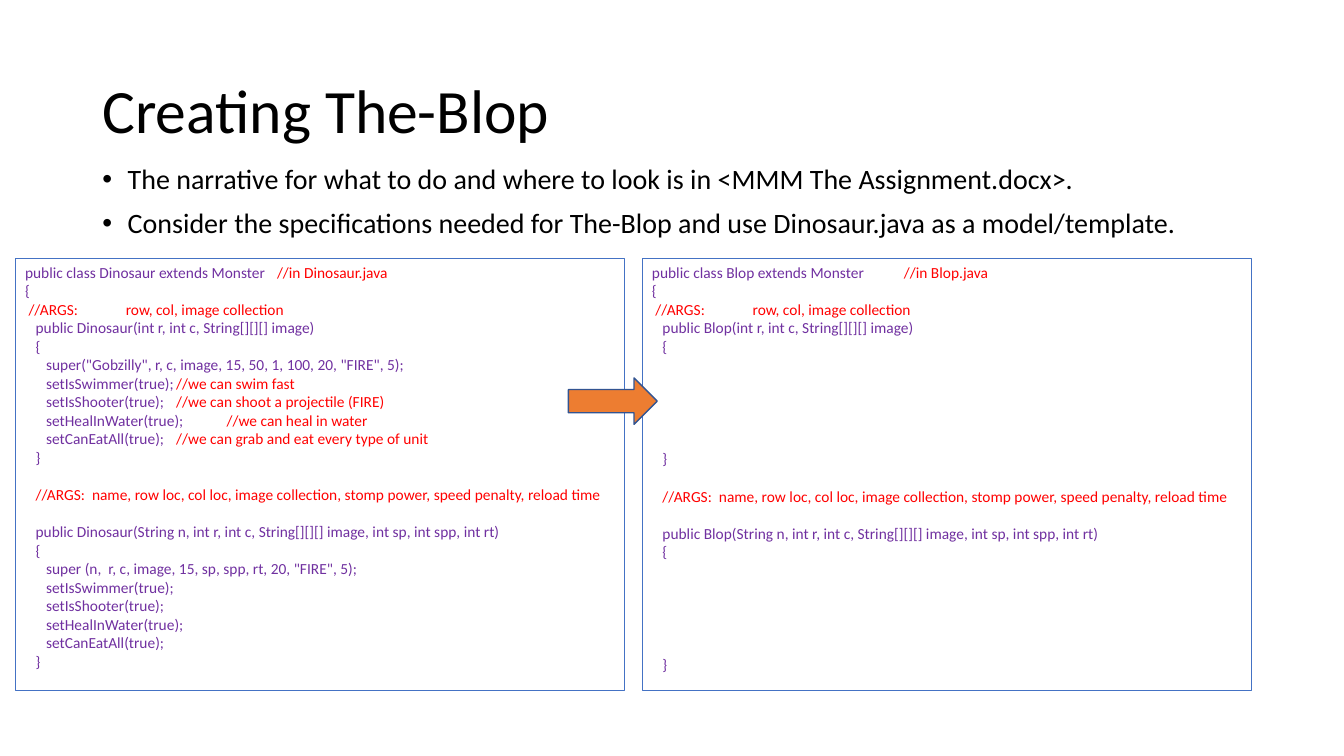
"""Build the slide that turns the Dinosaur class into a model for The-Blop."""
from lxml.etree import SubElement
from pptx import Presentation
from pptx.dml.color import RGBColor
from pptx.enum.shapes import MSO_SHAPE as Shape
from pptx.enum.text import MSO_ANCHOR as Anchor, MSO_AUTO_SIZE as AutoSize, PP_ALIGN as Align
from pptx.oxml.ns import qn
from pptx.util import Pt

TITLE = "Creating The-Blop"
BULLETS = [
    "The narrative for what to do and where to look is in <MMM The Assignment.docx>.",
    "Consider the specifications needed for The-Blop and use Dinosaur.java as a model/template.",
]
ABILITIES = [
    ("setIsSwimmer(true);", "//we can swim fast"),
    ("setIsShooter(true);", "//we can shoot a projectile (FIRE)"),
    ("setHealInWater(true);", "//we can heal in water"),
    ("setCanEatAll(true);", "//we can grab and eat every type of unit"),
]
SHORT_BODY = ['super("Gobzilly", r, c, image, 15, 50, 1, 100, 20, "FIRE", 5);']
SHORT_BODY += [f"{call}\t{comment}" for call, comment in ABILITIES]
LONG_BODY = ['super (n,  r, c, image, 15, sp, spp, rt, 20, "FIRE", 5);']
LONG_BODY += [call for call, comment in ABILITIES]
SHORT_ARGS = "//ARGS:\trow, col, image collection"
LONG_ARGS = ("//ARGS:  name, row loc, col loc, image collection, "
             "stomp power, speed penalty, reload time")
PANELS = [
    {"name": "Dinosaur", "left": 10.8, "args_tab": 82.5, "bodies": (SHORT_BODY, LONG_BODY)},
    {"name": "Blop", "left": 458.6, "args_tab": 80, "bodies": ([], [])},
]

BLACK = RGBColor(0x00, 0x00, 0x00)
PURPLE = RGBColor(0x70, 0x30, 0xA0)
RED = RGBColor(0xFF, 0x00, 0x00)
BLUE = RGBColor(0x44, 0x72, 0xC4)
NAVY = RGBColor(0x32, 0x54, 0x91)
ORANGE = RGBColor(0xED, 0x7D, 0x31)

FONT = "Calibri"
BODY_LINES = 5
LINE_HEIGHT = 13.43
INDENT = 7.5
COMMENT_TAB = 216
PANEL_TOP, PANEL_WIDTH, PANEL_HEIGHT = 184.3, 435.6, 308.9


def apply(target, values):
    """Set every attribute named in values."""
    for name, value in values.items():
        setattr(target, name, value)


def place(shape, left, top, width, height):
    """Move and size a shape in points."""
    apply(shape, {"left": Pt(left), "top": Pt(top), "width": Pt(width), "height": Pt(height)})


def add_run(paragraph, text, size, color):
    """Add one formatted run."""
    run = paragraph.add_run()
    run.text = text
    apply(run.font, {"name": FONT, "size": Pt(size)})
    run.font.color.rgb = color


def fill_placeholder(shape, lines, size, space_before, hanging):
    """Write lines into a template placeholder."""
    frame = shape.text_frame
    frame.auto_size = AutoSize.NONE
    for number, line in enumerate(lines):
        paragraph = frame.add_paragraph() if number else frame.paragraphs[0]
        apply(paragraph, {"alignment": Align.LEFT, "line_spacing": 0.9,
                          "space_before": Pt(space_before)})
        properties = paragraph._p.get_or_add_pPr()
        properties.set("marL", str(Pt(hanging)))
        properties.set("indent", str(-Pt(hanging)))
        add_run(paragraph, line, size, BLACK)


def class_lines(name, args_tab, bodies):
    """Return (blank lines before, indent level, tab stop, text) for each code line."""
    lines = [
        (0, 0, COMMENT_TAB, f"public class {name} extends Monster\t//in {name}.java"),
        (0, 0, COMMENT_TAB, "{"),
        (0, 1 / 3, args_tab, SHORT_ARGS),
    ]
    signatures = ["int r, int c, String[][][] image",
                  "String n, int r, int c, String[][][] image, int sp, int spp, int rt"]
    for number, (signature, body) in enumerate(zip(signatures, bodies)):
        if number:
            lines.append((1, 1, COMMENT_TAB, LONG_ARGS))
        lines.append((number, 1, COMMENT_TAB, f"public {name}({signature})"))
        lines.append((0, 1, COMMENT_TAB, "{"))
        lines += [(0, 2, COMMENT_TAB, text) for text in body]
        lines.append((BODY_LINES - len(body), 1, COMMENT_TAB, "}"))
    return lines


def add_shape(slide, kind, box, line_color, line_width):
    """Add an outlined shape without shadow or fill."""
    shape = slide.shapes.add_shape(kind, *map(Pt, box))
    shape.shadow.inherit = False
    shape.fill.background()
    shape.line.color.rgb = line_color
    shape.line.width = Pt(line_width)
    return shape


def add_code_panel(slide, name, left, args_tab, bodies):
    """Add a framed listing with purple code and red comments."""
    box = (left, PANEL_TOP, PANEL_WIDTH, PANEL_HEIGHT)
    frame = add_shape(slide, Shape.RECTANGLE, box, BLUE, 0.75).text_frame
    apply(frame, {"word_wrap": True, "vertical_anchor": Anchor.TOP})
    for number, (blanks, level, tab, text) in enumerate(class_lines(name, args_tab, bodies)):
        paragraph = frame.add_paragraph() if number else frame.paragraphs[0]
        apply(paragraph, {"alignment": Align.LEFT, "space_before": Pt(blanks * LINE_HEIGHT)})
        properties = paragraph._p.get_or_add_pPr()
        properties.set("marL", "0")
        properties.set("indent", str(Pt(level * INDENT)))
        tabs = SubElement(properties, qn("a:tabLst"))
        SubElement(tabs, qn("a:tab"), pos=str(Pt(tab)), algn="l")
        code, slashes, comment = text.partition("//")
        for part, color in ((code, PURPLE), (slashes + comment, RED)):
            if part:
                add_run(paragraph, part, 11, color)


def main():
    """Create and save the presentation."""
    presentation = Presentation()
    apply(presentation, {"slide_width": Pt(960), "slide_height": Pt(540)})
    slide = presentation.slides.add_slide(presentation.slide_layouts[1])
    title, body = slide.placeholders
    place(title, 66, 28.8, 828, 104.4)
    fill_placeholder(title, [TITLE], 44, 0, 0)
    place(body, 66, 114.5, 828, 69.8)
    fill_placeholder(body, BULLETS, 20, 10, 18)
    for panel in PANELS:
        add_code_panel(slide, **panel)
    arrow = add_shape(slide, Shape.RIGHT_ARROW, (406, 270, 63.4, 33.1), NAVY, 1)
    arrow.fill.solid()
    arrow.fill.fore_color.rgb = ORANGE
    presentation.save("out.pptx")


if __name__ == "__main__":
    main()
